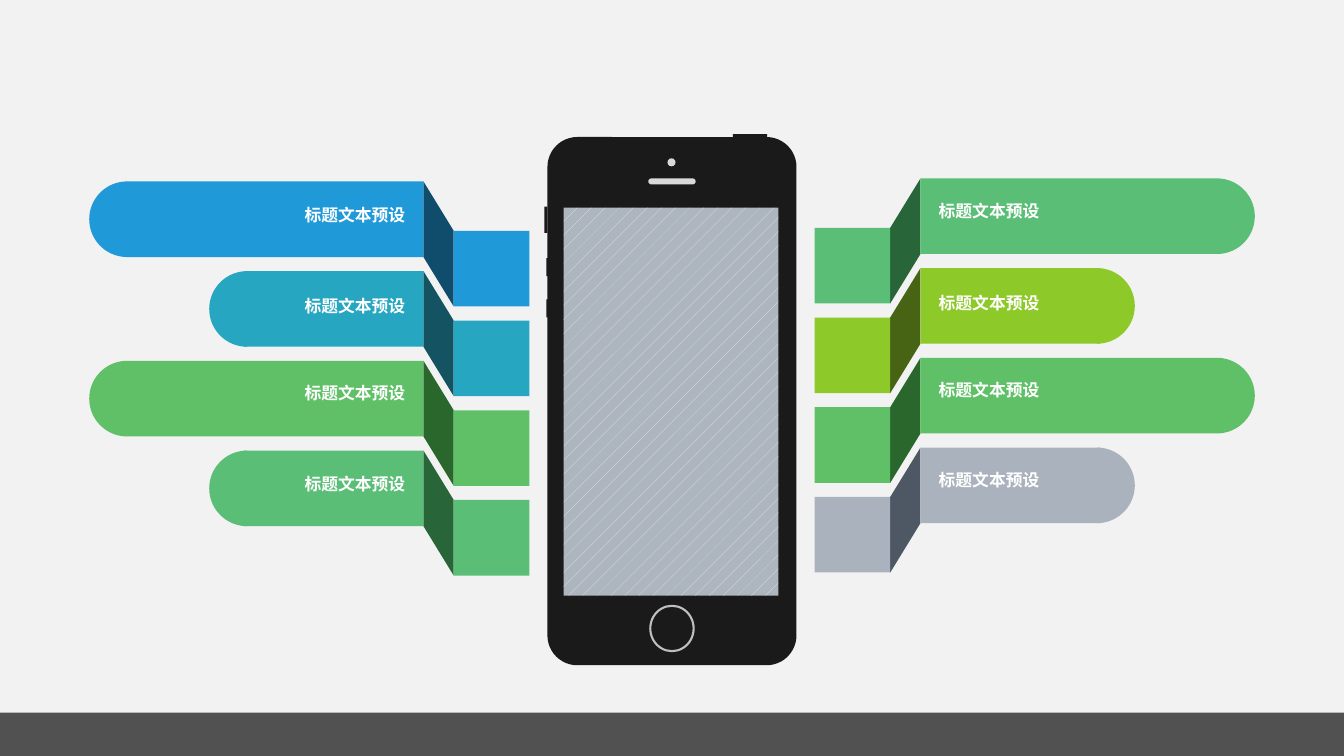
from dataclasses import dataclass
from math import cos, pi, sin

from lxml.etree import SubElement
from pptx import Presentation
from pptx.dml.color import RGBColor
from pptx.enum.dml import MSO_PATTERN
from pptx.enum.shapes import MSO_SHAPE
from pptx.enum.text import MSO_ANCHOR, PP_ALIGN
from pptx.oxml.ns import qn
from pptx.shapes.autoshape import Shape
from pptx.util import Inches, Pt

COLORS = {
    "background": "F2F2F2", "footer": "0D0D0D", "label": "FFFFFF",
    "phone": "1A1A1A", "detail": "D9D9D9", "home": "BFBFBF",
    "screen": "ADB5BF", "screen_lines": "E4E6EA",
    "blue": "2099D8", "blue_fold": "104C6C",
    "teal": "27A6C2", "teal_fold": "145361",
    "green": "60C067", "green_fold": "29672D",
    "mint": "5BBE77", "mint_fold": "286539",
    "lime": "8DC928", "lime_fold": "476414",
    "gray": "AAB2BD", "gray_fold": "4E5865",
}
LABEL = "标题文本预设"
LABEL_FONT = {"name": "Calibri", "size": Pt(12), "bold": True}
LABEL_FRAME = {"margin_left": 0, "margin_top": 0, "margin_right": 0,
               "margin_bottom": 0, "word_wrap": True,
               "vertical_anchor": MSO_ANCHOR.TOP}
LABEL_WIDTH, LABEL_INSET = 1.91, 0.18
BAND, PITCH, DROP = 0.75, 0.89, 0.49  # band height, row step, fold drop
LONG, SHORT = 2.94, 1.75


@dataclass
class Banner:
    color: str
    length: float
    label_drop: float


@dataclass
class Side:
    direction: int  # -1 runs left, 1 runs right
    inner: float    # fold edge next to the square
    outer: float    # fold edge next to the bar
    top: float
    align: PP_ALIGN
    banners: list[Banner]


@dataclass
class PhonePart:
    left: float
    top: float
    width: float
    height: float
    color: str = "phone"
    preset: MSO_SHAPE = MSO_SHAPE.RECTANGLE
    rounding: float | None = None


SIDES = [
    Side(1, 8.83, 9.13, 1.77, PP_ALIGN.LEFT, [
        Banner("mint", LONG, 0.22), Banner("lime", SHORT, 0.24),
        Banner("green", LONG, 0.22), Banner("gray", SHORT, 0.22)]),
    Side(-1, 4.5, 4.2, 1.8, PP_ALIGN.RIGHT, [
        Banner("blue", LONG, 0.23), Banner("teal", SHORT, 0.24),
        Banner("green", LONG, 0.22), Banner("mint", SHORT, 0.23)]),
]
PHONE_PARTS = [
    PhonePart(5.43, 1.36, 2.47, 5.24, "phone", MSO_SHAPE.ROUNDED_RECTANGLE, 0.12),
    PhonePart(5.4, 2.05, 0.03, 0.26),
    PhonePart(5.42, 2.56, 0.03, 0.18),
    PhonePart(5.42, 2.97, 0.03, 0.18),
    PhonePart(7.27, 1.33, 0.34, 0.07),
    PhonePart(6.43, 1.77, 0.47, 0.06, "detail", MSO_SHAPE.ROUNDED_RECTANGLE, 0.5),
    PhonePart(6.62, 1.57, 0.08, 0.08, "detail", MSO_SHAPE.OVAL),
]

deck = Presentation()
deck.slide_width, deck.slide_height = Inches(13.33), Inches(7.5)
slide = deck.slides.add_slide(deck.slide_layouts[6])


def rgb(color: str) -> RGBColor:
    return RGBColor.from_string(COLORS[color])


def paint(shape: Shape, color: str) -> Shape:
    shape.shadow.inherit = False
    shape.fill.solid()
    shape.fill.fore_color.rgb = rgb(color)
    shape.line.fill.background()
    return shape


def add_block(left: float, top: float, width: float, height: float, color: str,
              preset: MSO_SHAPE = MSO_SHAPE.RECTANGLE) -> Shape:
    return paint(slide.shapes.add_shape(
        preset, Inches(left), Inches(top), Inches(width), Inches(height)), color)


def add_outline(points: list[tuple[float, float]], color: str) -> Shape:
    corners = [(Inches(x), Inches(y)) for x, y in points]
    outline = slide.shapes.build_freeform(*corners[0])
    outline.add_line_segments(corners[1:], close=True)
    return paint(outline.convert_to_shape(), color)


def add_label(left: float, top: float, align: PP_ALIGN) -> None:
    frame = slide.shapes.add_textbox(
        Inches(left), Inches(top), Inches(LABEL_WIDTH), Inches(0.2)).text_frame
    for name, value in LABEL_FRAME.items():
        setattr(frame, name, value)
    paragraph = frame.paragraphs[0]
    paragraph.alignment = align
    title = paragraph.add_run()
    title.text = LABEL
    for name, value in LABEL_FONT.items():
        setattr(title.font, name, value)
    title.font.color.rgb = rgb("label")


def add_banner(side: Side, banner: Banner, top: float) -> None:
    def left_of(start: float, width: float) -> float:
        return start if side.direction > 0 else start - width

    # Fold and square
    add_outline([(side.inner, top + DROP), (side.outer, top),
                 (side.outer, top + BAND), (side.inner, top + DROP + BAND)],
                banner.color + "_fold")
    square_left = side.inner - BAND if side.direction > 0 else side.inner
    add_block(square_left, top + DROP, BAND, BAND, banner.color)

    # Bar with its round end; short bars reach slightly into the end
    bar_width = banner.length + (0.03 if banner.length == SHORT else 0)
    add_block(left_of(side.outer, bar_width), top, bar_width, BAND, banner.color)
    end = side.outer + side.direction * banner.length
    radius = BAND / 2
    angles = [pi * step / 40 for step in range(41)]
    add_outline([(end + side.direction * radius * sin(angle),
                  top + radius - radius * cos(angle)) for angle in angles],
                banner.color)

    label_start = side.outer + side.direction * LABEL_INSET
    add_label(left_of(label_start, LABEL_WIDTH), top + banner.label_drop, side.align)


# Background and footer
slide.background.fill.solid()
slide.background.fill.fore_color.rgb = rgb("background")
footer = add_block(0, 7.07, 13.33, 0.43, "footer")
footer_color = footer.fill._xPr.find(qn("a:solidFill"))[0]
SubElement(footer_color, qn("a:alpha"), val="70000")

# Banners
for side in SIDES:
    for row, banner in enumerate(side.banners):
        add_banner(side, banner, side.top + row * PITCH)

# Phone
for part in PHONE_PARTS:
    piece = add_block(part.left, part.top, part.width, part.height,
                      part.color, part.preset)
    if part.rounding is not None:
        piece.adjustments[0] = part.rounding

screen = add_block(5.59, 2.06, 2.13, 3.85, "screen")
screen.fill.patterned()
screen.fill.pattern = MSO_PATTERN.PERCENT_5
screen.fill.fore_color.rgb = rgb("screen_lines")
screen.fill.back_color.rgb = rgb("screen")

home = add_block(6.45, 6.01, 0.43, 0.45, "phone", MSO_SHAPE.OVAL)
home.fill.background()
home.line.color.rgb = rgb("home")
home.line.width = Pt(1.5)

deck.save("out.pptx")
